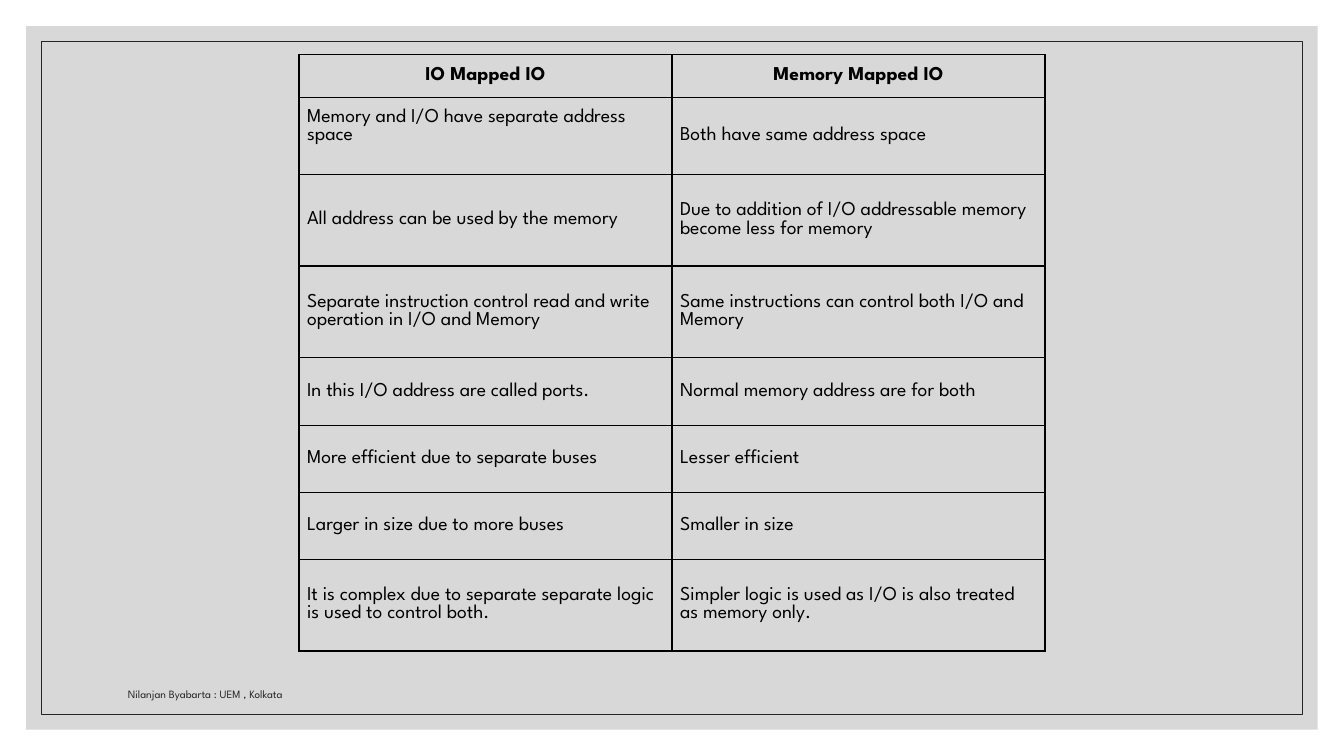
from lxml import etree
from pptx import Presentation
from pptx.dml.color import RGBColor
from pptx.enum.shapes import MSO_SHAPE
from pptx.enum.text import MSO_ANCHOR, PP_ALIGN
from pptx.oxml.ns import qn
from pptx.util import Inches, Pt

RECTANGLE = MSO_SHAPE.RECTANGLE
MIDDLE, BOTTOM = MSO_ANCHOR.MIDDLE, MSO_ANCHOR.BOTTOM
LEFT, CENTER = PP_ALIGN.LEFT, PP_ALIGN.CENTER

WIDTH, HEIGHT = 13.33, 7.5
FONT = "League Spartan"
BLACK, DARK, GREY = "000000", "262626", "BFBFBF"

# Table grid, in inches
TABLE_TOP, COLUMN_WIDTH = 0.54, 3.7
ROW_HEIGHTS = [0.43, 0.76, 0.91, 0.91, 0.67, 0.67, 0.66, 0.91]
SIDE_INSET, END_INSET, LINE_HEIGHT = 0.08, 0.11, 0.18

COMPARISON = [
    ("IO Mapped IO", "Memory Mapped IO"),
    ("Memory and I/O have separate address space",
     "Both have same address space"),
    ("All address can be used by the memory",
     "Due to addition of I/O addressable memory become less for memory"),
    ("Separate instruction control read and write operation in I/O and Memory",
     "Same instructions can control both I/O and Memory"),
    ("In this I/O address are called ports.",
     "Normal memory address are for both"),
    ("More efficient due to separate buses", "Lesser efficient"),
    ("Larger in size due to more buses", "Smaller in size"),
    ("It is complex due to separate separate logic is used to control both.",
     "Simpler logic is used as I/O is also treated as memory only."),
]


def color(value):
    return RGBColor.from_string(value)


def write(frame, text, size=14, fill=BLACK, bold=False, align=LEFT):
    para = frame.paragraphs[0]
    para.alignment = align
    span = para.add_run()
    span.text = text
    span.font.name = FONT
    span.font.size = Pt(size)
    span.font.bold = bold
    span.font.color.rgb = color(fill)


def add_panel(page, margin, fill=None, opacity=100, line=None):
    """Add a rectangle inset by the same margin on every side."""
    panel = page.shapes.add_shape(
        RECTANGLE, Inches(margin), Inches(margin),
        Inches(WIDTH - 2 * margin), Inches(HEIGHT - 2 * margin))
    panel.shadow.inherit = False
    if fill:
        panel.fill.solid()
        panel.fill.fore_color.rgb = color(fill)
        tint = panel.fill._xPr.find(".//" + qn("a:srgbClr"))
        etree.SubElement(tint, qn("a:alpha"), val=str(opacity * 1000))
    else:
        panel.fill.background()
    if line:
        panel.line.color.rgb = color(line)
        panel.line.width = Pt(0.5)
    else:
        panel.line.fill.background()


def outline_cell(cell, line=BLACK, width=1):
    properties = cell._tc.get_or_add_tcPr()
    for side in ("a:lnL", "a:lnR", "a:lnT", "a:lnB"):
        border = etree.SubElement(properties, qn(side), w=str(Pt(width)))
        solid = etree.SubElement(border, qn("a:solidFill"))
        etree.SubElement(solid, qn("a:srgbClr"), val=line)


def add_comparison(page):
    columns = len(COMPARISON[0])
    width = columns * COLUMN_WIDTH
    table = page.shapes.add_table(
        len(COMPARISON), columns, Inches((WIDTH - width) / 2), Inches(TABLE_TOP),
        Inches(width), Inches(sum(ROW_HEIGHTS))).table
    table.first_row = table.horz_banding = False
    for column in table.columns:
        column.width = Inches(COLUMN_WIDTH)

    for row, texts in enumerate(COMPARISON):
        table.rows[row].height = Inches(ROW_HEIGHTS[row])
        heading = row == 0
        for column, text in enumerate(texts):
            cell = table.cell(row, column)
            cell.vertical_anchor = MIDDLE
            cell.margin_left = cell.margin_right = Inches(SIDE_INSET)
            cell.margin_top = cell.margin_bottom = Inches(END_INSET)
            outline_cell(cell)
            cell.fill.background()
            write(cell.text_frame, text, bold=heading,
                  align=CENTER if heading else LEFT)

    # The first comparison sits one line above the foot of its cell
    table.cell(1, 0).margin_bottom = Inches(END_INSET + LINE_HEIGHT)


def add_footer(page, text):
    box = page.shapes.add_textbox(
        Inches(1.17), Inches(6.6), Inches(6.36), Inches(0.4))
    box.text_frame.word_wrap = True
    box.text_frame.vertical_anchor = BOTTOM
    write(box.text_frame, text, size=8, fill=DARK)


def main():
    deck = Presentation()
    deck.slide_width, deck.slide_height = Inches(WIDTH), Inches(HEIGHT)
    page = deck.slides.add_slide(deck.slide_layouts[6])

    # Backdrop and frame
    add_panel(page, 0.26, fill=GREY, opacity=60)
    add_panel(page, 0.41, line=DARK)

    # Content
    add_comparison(page)
    add_footer(page, "Nilanjan Byabarta : UEM , Kolkata")
    deck.save("out.pptx")


if __name__ == "__main__":
    main()
